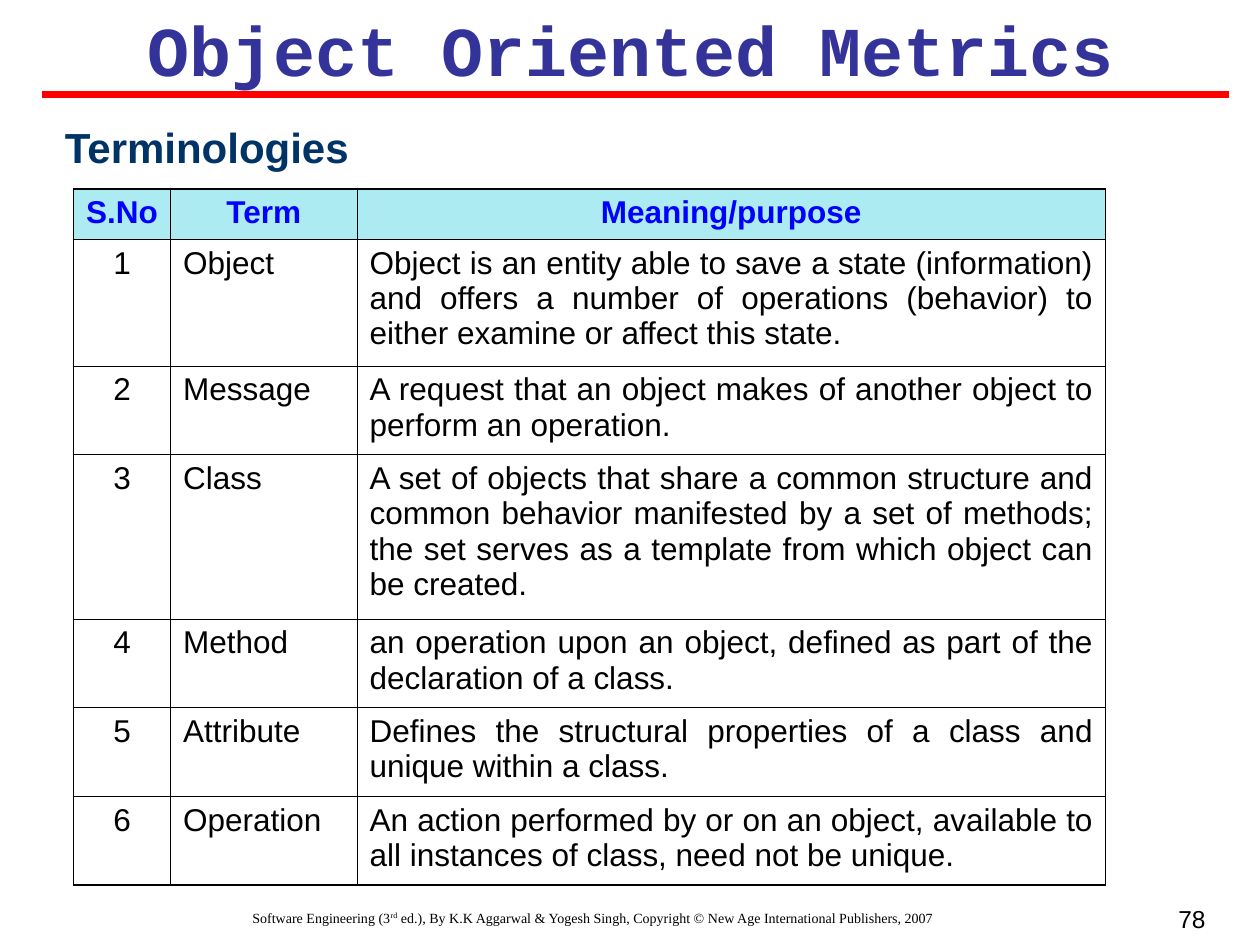
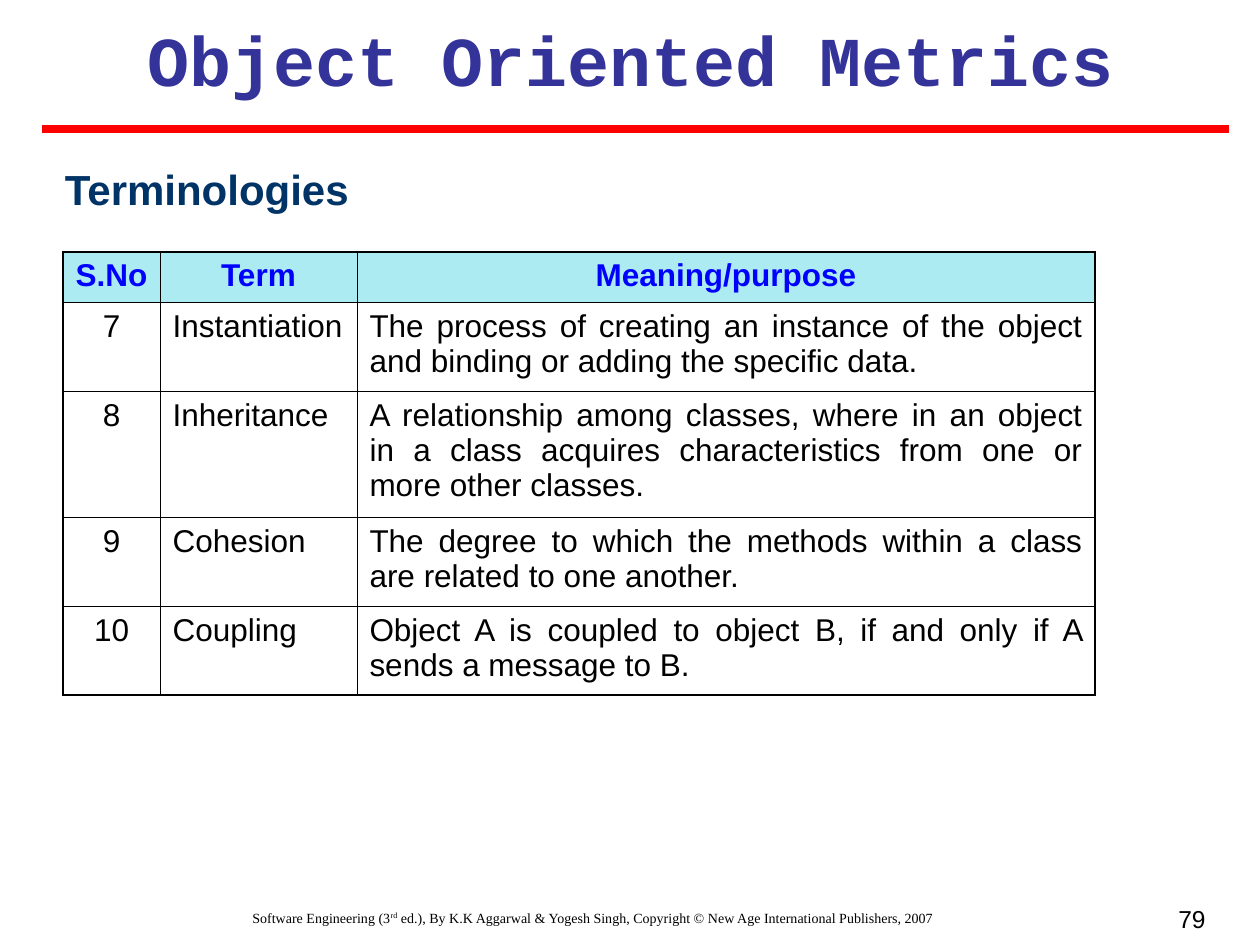
"""Build two slides of object oriented terminology tables."""
import pptx
import pptx.dml.color
import pptx.enum.shapes
import pptx.enum.text
import pptx.oxml.ns
import pptx.util
from lxml import etree

COLOURS = {"title": "333399", "rule": "FF0000", "subtitle": "003366", "header": "0000FF",
           "header_fill": "ACEBF2", "ink": "000000"}
ALIGN = pptx.enum.text.PP_ALIGN
FORMATS = {
    "title": {"name": "Courier New", "size": pptx.util.Pt(40), "bold": True},
    "subtitle": {"name": "Arial", "size": pptx.util.Pt(24), "bold": True},
    "header": {"name": "Arial", "size": pptx.util.Pt(18), "bold": True},
    "body": {"name": "Arial", "size": pptx.util.Pt(18), "bold": False},
    "footer": {"name": "Times New Roman", "size": pptx.util.Pt(8), "bold": False},
    "number": {"name": "Arial", "size": pptx.util.Pt(14), "bold": False},
}
FOOTER = ["Software Engineering (3", "rd", " ed.), By K.K Aggarwal & Yogesh Singh, "
          "Copyright © New Age International Publishers, 2007"]
HEADINGS = ["S.No", "Term", "Meaning/purpose"]
THIN, THICK = pptx.util.Pt(0.45), pptx.util.Pt(1.08)

deck = pptx.Presentation()
deck.slide_width, deck.slide_height = pptx.util.Inches(10), pptx.util.Inches(7.5)
UNIT = deck.slide_width // 120

SLIDES = [
    {"number": 78, "title_top": 0, "rule_top": 9, "subtitle_top": 11, "table_at": (7, 18),
     "columns": [9.25, 17.75, 71.3], "first": 1, "terms": [
         ("Object", 3, "Object is an entity able to save a state (information) and offers a number "
          "of operations (behavior) to either examine or affect this state."),
         ("Message", 2, "A request that an object makes of another object to perform an operation."),
         ("Class", 4, "A set of objects that share a common structure and common behavior manifested "
          "by a set of methods; the set serves as a template from which object can be created."),
         ("Method", 2, "an operation upon an object, defined as part of the declaration of a class."),
         ("Attribute", 2, "Defines the structural properties of a class and unique within a class."),
         ("Operation", 2, "An action performed by or on an object, available to all instances of "
          "class, need not be unique.")]},
    {"number": 79, "title_top": 1, "rule_top": 12.25, "subtitle_top": 15, "table_at": (6, 24),
     "columns": [9.25, 18.75, 70.3], "first": 7, "terms": [
         ("Instantiation", 2, "The process of creating an instance of the object and binding or "
          "adding the specific data."),
         ("Inheritance", 3, "A relationship among classes, where in an object in a class acquires "
          "characteristics from one or more other classes."),
         ("Cohesion", 2, "The degree to which the methods within a class are related to one another."),
         ("Coupling", 2, "Object A is coupled to object B, if and only if A sends a message to B.")]},
]


def write(frame, parts, style, colour, align):
    """Fill a text frame with one paragraph made of the given runs."""
    frame.word_wrap = True
    paragraph = frame.paragraphs[0]
    paragraph.alignment = align
    for part in parts:
        run = paragraph.add_run()
        run.text = part
        for attribute, value in FORMATS[style].items():
            setattr(run.font, attribute, value)
        run.font.color.rgb = pptx.dml.color.RGBColor.from_string(COLOURS[colour])
    return paragraph


def place(slide, left, top, width, height):
    """Add a text box measured in grid units and return its frame."""
    return slide.shapes.add_textbox(*(int(n * UNIT) for n in (left, top, width, height))).text_frame


for content in SLIDES:
    slide = deck.slides.add_slide(deck.slide_layouts[6])

    footer = write(place(slide, 3, 86, 107, 4), FOOTER, "footer", "ink", ALIGN.CENTER)
    footer.runs[1].font._element.set("baseline", "30000")

    rows = [HEADINGS] + [(str(number), term, meaning) for number, (term, lines, meaning)
                         in enumerate(content["terms"], content["first"])]
    heights = [4.8] + [1.25 + 3.6 * lines for term, lines, meaning in content["terms"]]
    left, top = content["table_at"]
    glossary = slide.shapes.add_table(
        len(rows), 3, left * UNIT, top * UNIT,
        int(sum(content["columns"]) * UNIT), int(sum(heights) * UNIT)).table
    glossary.first_row = glossary.horz_banding = False
    for column, width in zip(glossary.columns, content["columns"]):
        column.width = int(width * UNIT)
    for r, (values, height) in enumerate(zip(rows, heights)):
        glossary.rows[r].height = int(height * UNIT)
        for c, value in enumerate(values):
            cell = glossary.cell(r, c)
            style, colour = ("header", "header") if r == 0 else ("body", "ink")
            align = ALIGN.CENTER if r == 0 else (ALIGN.CENTER, ALIGN.LEFT, ALIGN.JUSTIFY)[c]
            write(cell.text_frame, [value], style, colour, align)
            outer = {"lnL": c == 0, "lnR": c == 2, "lnT": r == 0, "lnB": r == len(rows) - 1}
            for side, on_edge in outer.items():
                border = etree.SubElement(cell._tc.get_or_add_tcPr(), pptx.oxml.ns.qn("a:" + side),
                                          w=str(int(THICK if on_edge else THIN)))
                paint = etree.SubElement(border, pptx.oxml.ns.qn("a:solidFill"))
                etree.SubElement(paint, pptx.oxml.ns.qn("a:srgbClr"), val=COLOURS["ink"])
            if r == 0:
                cell.fill.solid()
                cell.fill.fore_color.rgb = pptx.dml.color.RGBColor.from_string(COLOURS["header_fill"])
            else:
                cell.fill.background()

    write(place(slide, 4, content["title_top"], 112, 9.25), ["Object Oriented Metrics"],
          "title", "title", ALIGN.CENTER)

    rule_y = int(content["rule_top"] * UNIT)
    rule = slide.shapes.add_connector(pptx.enum.shapes.MSO_CONNECTOR.STRAIGHT,
                                      4 * UNIT, rule_y, 117 * UNIT, rule_y)
    rule.line.width = pptx.util.Pt(4.5)
    rule.line.color.rgb = pptx.dml.color.RGBColor.from_string(COLOURS["rule"])
    etree.SubElement(rule._element.spPr, pptx.oxml.ns.qn("a:effectLst"))

    write(place(slide, 5, content["subtitle_top"], 64, 6), ["Terminologies"],
          "subtitle", "subtitle", ALIGN.LEFT)
    write(place(slide, 88, 85.5, 28, 4), [str(content["number"])], "number", "ink", ALIGN.RIGHT)

deck.save("out.pptx")
